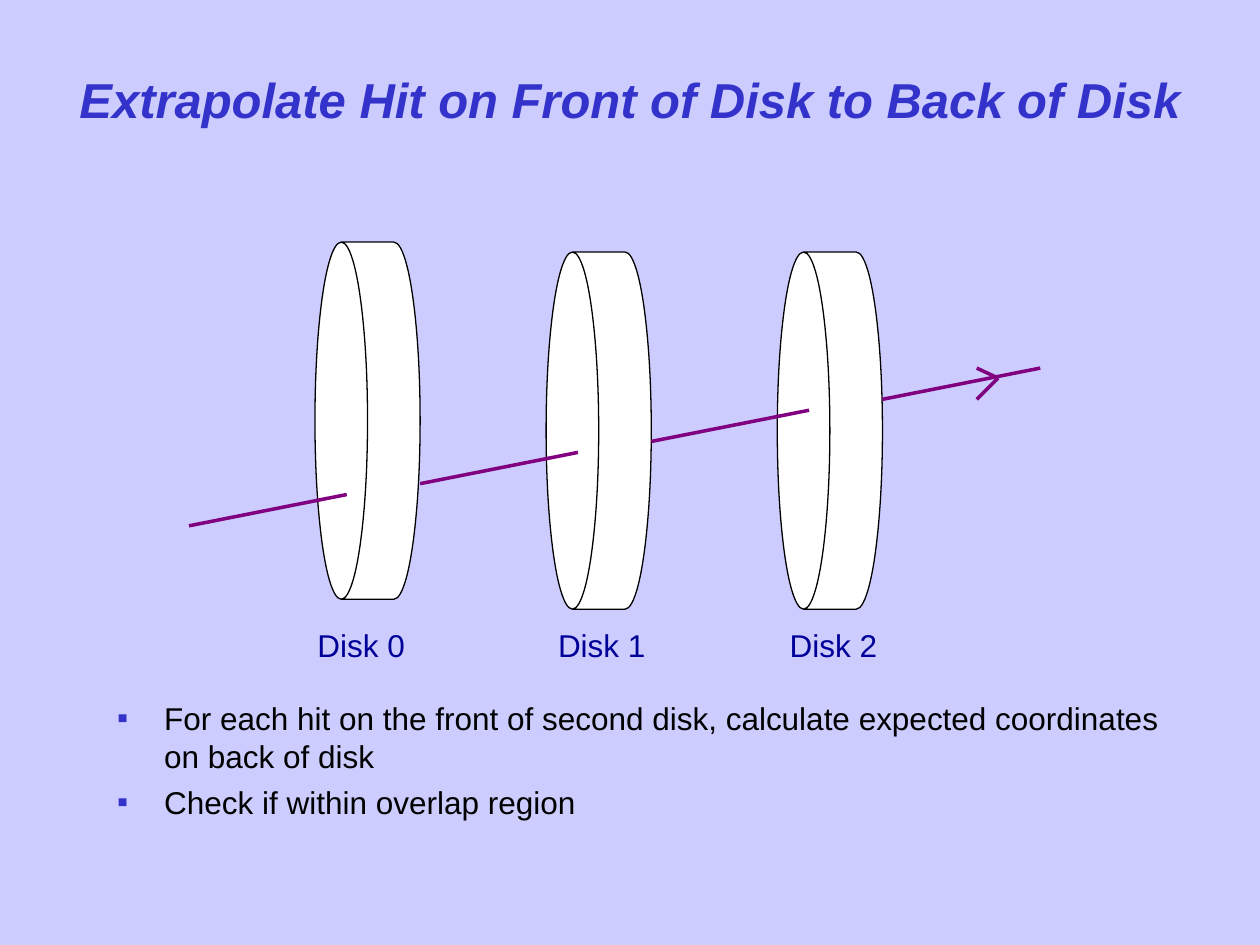
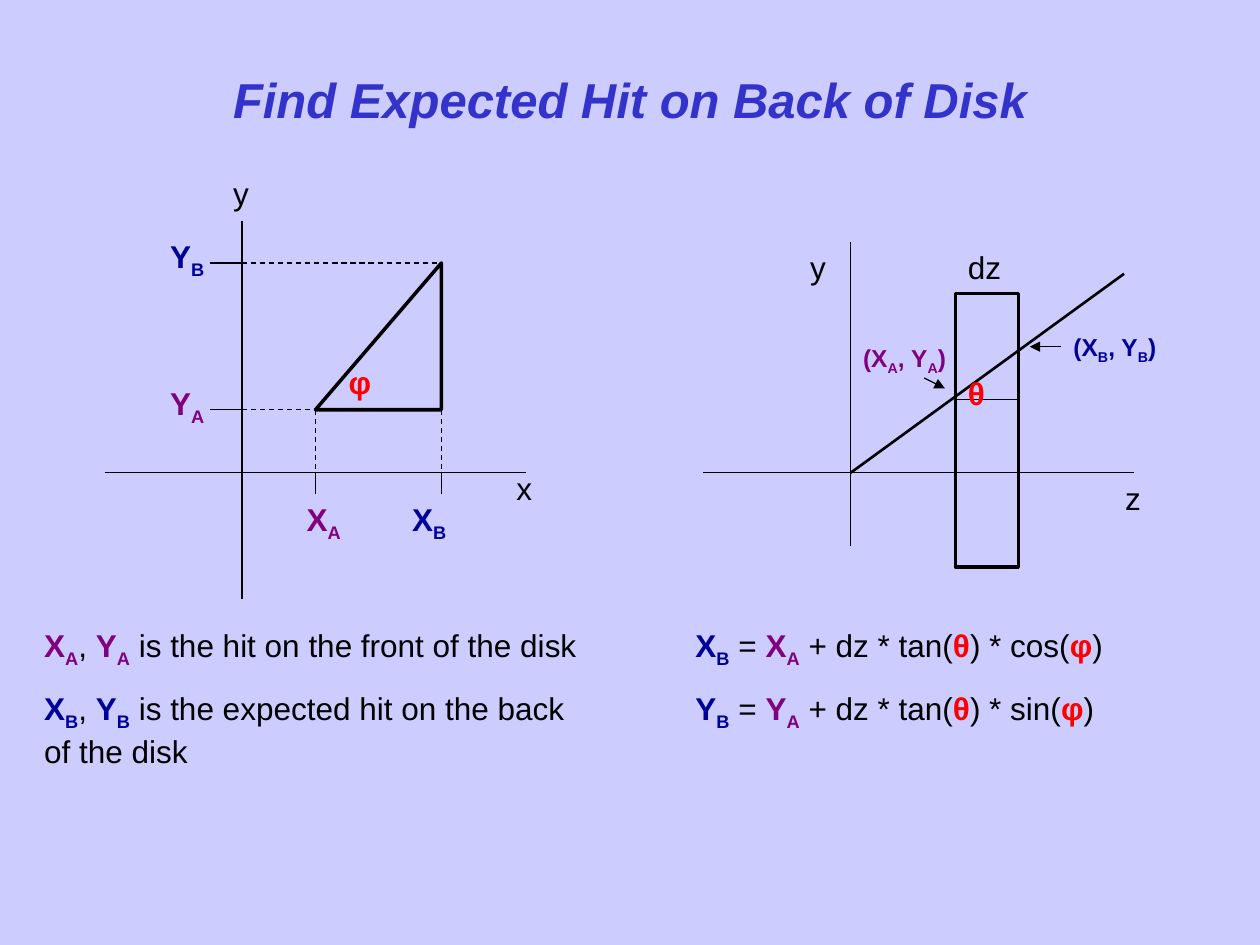
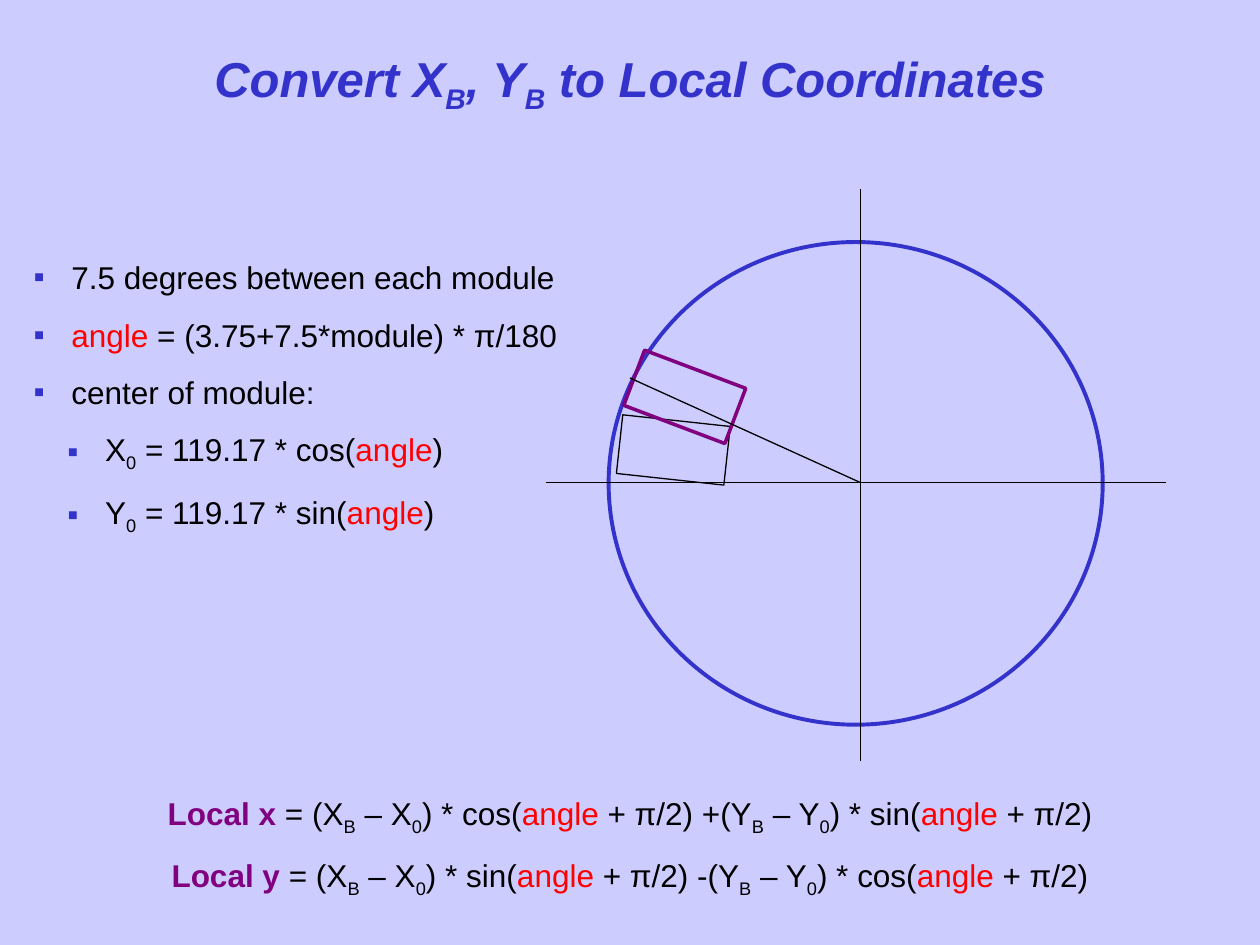
import lxml.etree
import pptx
import pptx.util
import pptx.dml.color
import pptx.enum.dml
import pptx.enum.shapes
import pptx.enum.text
import pptx.oxml.ns
from pptx.util import Cm

FONT = "Arial"
COLORS = {
    "background": "CCCCFF",
    "title": "3333CC",
    "ink": "000000",
    "disk": "FFFFFF",
    "front": "800080",
    "back": "000099",
    "angle": "FF0000",
}
STYLES = {
    "title": ("title", True),
    "plain": ("ink", False),
    "front": ("front", True),
    "back": ("back", True),
    "disk": ("back", False),
    "angle": ("angle", True),
    "variable": ("angle", False),
}
SHAPES = pptx.enum.shapes.MSO_SHAPE
CENTER = pptx.enum.text.PP_ALIGN.CENTER
DASH = pptx.enum.dml.MSO_LINE.DASH
BULLET_HANG = 0.76


def rgb(color):
    return pptx.dml.color.RGBColor.from_string(COLORS[color])


def add_xml(parent, tag, **attributes):
    return lxml.etree.SubElement(parent, pptx.oxml.ns.qn(tag), attributes)


def set_style(font, style):
    color, font.bold = STYLES[style]
    font.color.rgb = rgb(color)


def add_bullet(paragraph, margin, hang):
    properties = paragraph._p.get_or_add_pPr()
    properties.set("marL", str(Cm(margin)))
    properties.set("indent", str(-Cm(hang)))
    add_xml(add_xml(properties, "a:buClr"), "a:srgbClr", val=COLORS["title"])
    add_xml(properties, "a:buFont", typeface=FONT)
    add_xml(properties, "a:buChar", char="▪")


def split_subscripts(text):
    first, *rest = text.split("_")
    yield first, False
    for part in rest:
        yield part[0], True
        yield part[1:], False


def write_paragraph(paragraph, pieces, size):
    paragraph.font.name = FONT
    paragraph.font.size = pptx.util.Pt(size)
    same_style = len({style for style, _ in pieces}) == 1
    if same_style:
        set_style(paragraph.font, pieces[0][0])
    for style, text in pieces:
        for part, lowered in split_subscripts(text):
            if not part:
                continue
            run = paragraph.add_run()
            run.text = part
            if not same_style:
                set_style(run.font, style)
            if lowered:
                run._r.get_or_add_rPr().set("baseline", "-25000")


class Region:
    def __init__(self, slide, left, top):
        self.shapes = slide.shapes
        self.left, self.top = left, top

    def place(self, x, y):
        return Cm(self.left + x), Cm(self.top + y)

    def line(self, start, end, color="ink", width=0.75, dash=None, arrow=False):
        connector = self.shapes.add_connector(
            pptx.enum.shapes.MSO_CONNECTOR.STRAIGHT, *self.place(*start), *self.place(*end))
        connector.line.color.rgb = rgb(color)
        connector.line.width = pptx.util.Pt(width)
        if dash:
            connector.line.dash_style = dash
        properties = connector._element.spPr
        if arrow:
            add_xml(properties.find(pptx.oxml.ns.qn("a:ln")), "a:tailEnd", type="triangle")
        add_xml(properties, "a:effectLst")

    def shape(self, kind, x, y, width, height, rotation=0, fill=None, color="ink", weight=0.75):
        shape = self.shapes.add_shape(kind, *self.place(x, y), Cm(width), Cm(height))
        shape.shadow.inherit = False
        shape.rotation = rotation
        if fill:
            shape.fill.solid()
            shape.fill.fore_color.rgb = rgb(fill)
        else:
            shape.fill.background()
        shape.line.color.rgb = rgb(color)
        shape.line.width = pptx.util.Pt(weight)
        return shape

    def text(self, x, y, width, height, paragraphs, size=18, gap=11.2, align=None, bullets=None):
        frame = self.shapes.add_textbox(*self.place(x, y), Cm(width), Cm(height)).text_frame
        frame.word_wrap = True
        for index, pieces in enumerate(paragraphs):
            paragraph = frame.add_paragraph() if index else frame.paragraphs[0]
            if index:
                paragraph.space_before = pptx.util.Pt(gap)
            paragraph.alignment = align
            if bullets:
                add_bullet(paragraph, *bullets[index])
            write_paragraph(paragraph, pieces, size)

    def label(self, x, y, text, style="plain", width=0.84, size=18):
        self.text(x, y, width, 1.02, [[(style, text)]], size)


def add_titled_slide(deck, title, top=1.27):
    slide = deck.slides.add_slide(deck.slide_layouts[5])
    holder = slide.shapes.title
    holder.left, holder.top = Cm(0), Cm(top)
    holder.width, holder.height = Cm(25.4), Cm(1.45)
    frame = holder.text_frame
    frame.word_wrap = True
    frame.auto_size = pptx.enum.text.MSO_AUTO_SIZE.NONE
    frame.vertical_anchor = pptx.enum.text.MSO_ANCHOR.TOP
    paragraph = frame.paragraphs[0]
    paragraph.alignment = CENTER
    write_paragraph(paragraph, [("title", title)], 28)
    paragraph.font.italic = True
    return slide


def draw_disks(slide, left, top):
    region = Region(slide, left, top)
    disk_step, track_rise = 4.66, 0.85
    for index, drop in enumerate((0, 0.2, 0.2)):
        disk = region.shape(SHAPES.CAN, index * disk_step, 2.54 + drop, 7.2, 2.12, 270, "disk")
        disk.adjustments[0] = 0.5
    for index in range(4):
        x, y = index * disk_step, 5.72 - index * track_rise
        region.line((x, y), (x + 3.18, y - 0.63), "front", 2)
    for barb_y in (3.17, 2.54):
        region.line((16.31, 2.74), (15.88, barb_y), "front", 2)
    for index, x in enumerate((2.34, 7.19, 11.86)):
        region.label(x, 7.62, f"Disk {index}", "disk", 2.34)


def draw_transverse_view(slide, left, top):
    region = Region(slide, left, top)
    front_x, back_x, front_y, back_y = 1.48, 4.02, -1.27, -4.23
    region.line((0, -5.08), (0, 2.54))
    region.line((-2.77, 0), (5.72, 0))
    region.shape(SHAPES.RIGHT_TRIANGLE, 1.27, -4.02, front_y - back_y, back_x - front_x,
                 270, "background", weight=2)
    for name, style, x, y, shift in (("A", "front", front_x, front_y, 0.43),
                                     ("B", "back", back_x, back_y, 0.84)):
        region.line((x, 0), (x, 0.43))
        region.line((0, y), (-0.64, y))
        region.line((0, y), (x, y), dash=DASH)
        region.line((x, front_y), (x, 0), dash=DASH)
        region.label(x - shift, 0.43, f"X_{name}", style, 1.48)
        region.label(-1.7, y - 0.64, f"Y_{name}", style, 1.48)
    region.label(1.9, -2.34, "φ", "angle")
    region.label(-0.43, -6.15, "y")
    region.label(5.28, -0.2, "x")


def draw_side_view(slide, left, top):
    region = Region(slide, left, top)
    disk_x, disk_width = 2.11, 1.27
    region.line((0, -4.65), (0, 1.47))
    region.line((-2.97, 0), (5.72, 0))
    region.shape(SHAPES.RECTANGLE, disk_x, -3.61, disk_width, 5.51, weight=2)
    region.line((0, 0), (5.51, -4.01), width=1.5)
    region.line((disk_x, -1.47), (disk_x + disk_width, -1.47))
    region.label(disk_x, -4.65, "dz", width=1.48)
    region.label(5.28, 0, "z", width=1.07)
    region.label(-1.07, -4.65, "y")
    region.label(disk_x, -2.11, "θ", "angle")
    region.label(0, -2.74, "(X_A, Y_A)", "front", 2.34, 14)
    region.label(4.24, -2.97, "(X_B, Y_B)", "back", 2.34, 14)
    region.line((4.24, -2.54), (3.61, -2.54), arrow=True)
    region.line((1.48, -1.91), (1.9, -1.7), arrow=True)


def draw_wheel(slide, left, top):
    region = Region(slide, left, top)
    center_x, center_y = 6.35, 5.92
    region.shape(SHAPES.OVAL, 1.27, 1.07, 9.96, 9.73, color="title", weight=2.25)
    region.line((center_x, 0), (center_x, 11.53))
    region.line((0, center_y), (12.5, center_y))
    region.shape(SHAPES.RECTANGLE, 1.98, 4.17, 1.19, 2.18, 276.2)
    region.shape(SHAPES.RECTANGLE, 2.21, 3.1, 1.19, 2.18, 290.7, color="front", weight=2)
    region.line((center_x, center_y), (1.7, 3.81))


def hit_meaning(name, style, meaning):
    return [(style, f"X_{name}"), ("plain", ", "), (style, f"Y_{name}"), ("plain", meaning)]


def expected_hit(axis, function):
    return [("back", f"{axis}_B"), ("plain", " = "), ("front", f"{axis}_A"),
            ("plain", " + dz * tan("), ("angle", "θ"), ("plain", f") * {function}("),
            ("angle", "φ"), ("plain", ")")]


def module_center(axis, function):
    return [("plain", f"{axis}_0 = 119.17 * {function}("), ("variable", "angle"), ("plain", ")")]


def local_coordinate(axis, first, sign, second):
    return [("front", f"Local {axis}"), ("plain", f" = (X_B – X_0) * {first}("),
            ("variable", "angle"), ("plain", f" + π/2) {sign}(Y_B – Y_0) * {second}("),
            ("variable", "angle"), ("plain", " + π/2)")]


def build_extrapolation(deck):
    slide = add_titled_slide(deck, "Extrapolate Hit on Front of Disk to Back of Disk")
    draw_disks(slide, 3.81, 4.88)
    steps = ("For each hit on the front of second disk, calculate expected coordinates "
             "on back of disk", "Check if within overlap region")
    Region(slide, 2.11, 13.97).text(0, 0, 21.59, 3.61, [[("plain", step)] for step in steps],
                                    gap=4.5, bullets=[(0.95, 0.95)] * 2)


def build_expected_hit(deck):
    slide = add_titled_slide(deck, "Find Expected Hit on Back of Disk")
    draw_transverse_view(slide, 4.88, 9.53)
    draw_side_view(slide, 17.15, 9.53)
    notes = Region(slide, 0.64, 12.5)
    notes.text(0, 0, 11.43, 3.15, [
        hit_meaning("A", "front", " is the hit on the front of the disk"),
        hit_meaning("B", "back", " is the expected hit on the back of the disk")])
    notes.text(13.13, 0, 10.59, 2.39, [expected_hit("X", "cos"), expected_hit("Y", "sin")])


def build_local_coordinates(deck):
    slide = add_titled_slide(deck, "Convert X_B, Y_B to Local Coordinates", 0.85)
    draw_wheel(slide, 11, 3.81)
    outer, inner = (BULLET_HANG, BULLET_HANG), (1.44, BULLET_HANG)
    Region(slide, 0.43, 5.08).text(0, 0, 11.43, 5.87, [
        [("plain", "7.5 degrees between each module")],
        [("variable", "angle"), ("plain", " = (3.75+7.5*module) * π/180")],
        [("plain", "center of module:")],
        module_center("X", "cos"),
        module_center("Y", "sin")], bullets=[outer] * 3 + [inner] * 2)
    Region(slide, 0, 15.88).text(0, 0, 25.4, 2.39, [
        local_coordinate("x", "cos", "+", "sin"),
        local_coordinate("y", "sin", "-", "cos")], align=CENTER)


def main():
    deck = pptx.Presentation()
    deck.slide_width, deck.slide_height = Cm(25.4), Cm(19.05)
    background = deck.slide_master.background.fill
    background.solid()
    background.fore_color.rgb = rgb("background")
    build_extrapolation(deck)
    build_expected_hit(deck)
    build_local_coordinates(deck)
    deck.save("out.pptx")


if __name__ == "__main__":
    main()
